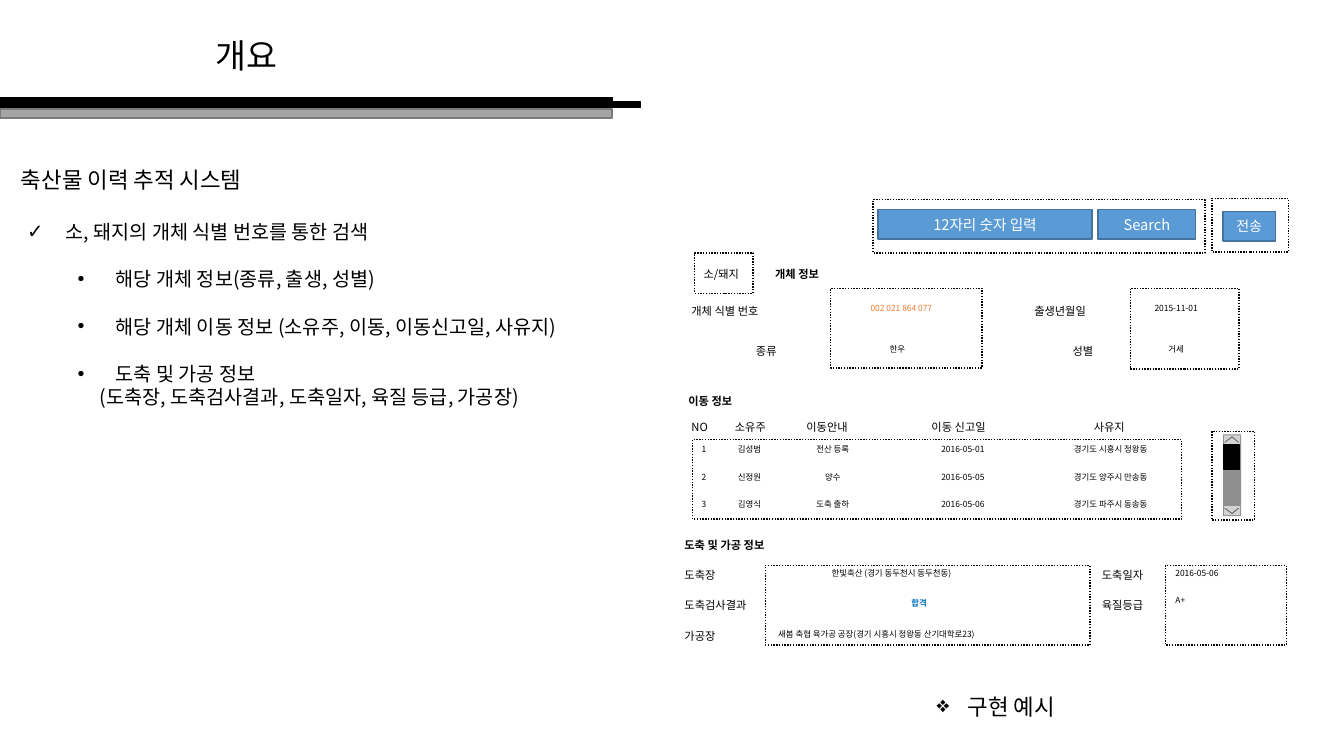
from dataclasses import dataclass
from lxml.etree import SubElement
from pptx import Presentation
from pptx.dml.color import RGBColor
from pptx.enum.dml import MSO_LINE
from pptx.enum.shapes import MSO_SHAPE
from pptx.enum.text import MSO_ANCHOR, MSO_AUTO_SIZE, PP_ALIGN
from pptx.oxml.ns import qn
from pptx.util import Inches, Pt


@dataclass(frozen=True)
class Theme:
    font: str = "Noto Sans CJK KR"
    black: str = "000000"
    white: str = "FFFFFF"
    button: str = "5B9BD5"
    button_edge: str = "43739E"
    bar: str = "A5A5A5"
    bar_edge: str = "7A7A7A"
    track: str = "8F8F8F"
    number: str = "ED7D31"
    passed: str = "0070C0"
    title: float = 24
    heading: float = 16
    body: float = 14
    action: float = 10.5
    send: float = 10
    label: float = 8
    value: float = 6


@dataclass(frozen=True)
class Box:
    left: float
    top: float
    width: float
    height: float

    def inner(self, dx, dy, width, height):
        return Box(self.left + dx, self.top + dy, width, height)

    def lengths(self):
        return [Inches(v) for v in (self.left, self.top, self.width, self.height)]


THEME = Theme()


def style(paragraph, size, color=THEME.black, bold=False, align=PP_ALIGN.LEFT):
    paragraph.alignment = align
    font = paragraph.font
    font.name, font.size, font.bold = THEME.font, Pt(size), bold
    font.color.rgb = RGBColor.from_string(color)


def indent(paragraph, margin, hanging=0, bullet=None):
    props = paragraph._p.get_or_add_pPr()
    props.set("marL", str(Inches(margin)))
    props.set("indent", str(-Inches(hanging)))
    mark = SubElement(props, qn("a:buChar" if bullet else "a:buNone"))
    if bullet:
        mark.set("char", bullet)
    defaults = props.find(qn("a:defRPr"))
    if defaults is not None:
        props.append(defaults)


def write(slide, box, text, size, **look):
    frame = slide.shapes.add_textbox(*box.lengths()).text_frame
    frame.word_wrap = True
    frame.auto_size = MSO_AUTO_SIZE.SHAPE_TO_FIT_TEXT
    paragraph = frame.paragraphs[0]
    paragraph.text = text
    style(paragraph, size, **look)
    return paragraph


def paint(shape, fill=None, edge=None, alpha=None):
    shape.shadow.inherit = False
    if fill:
        shape.fill.solid()
        shape.fill.fore_color.rgb = RGBColor.from_string(fill)
    else:
        shape.fill.background()
    if alpha:
        color = shape._element.spPr.find(qn("a:solidFill"))[0]
        SubElement(color, qn("a:alpha")).set("val", str(alpha * 1000))
    if edge:
        shape.line.color.rgb = RGBColor.from_string(edge)
        shape.line.width = Pt(1)
    else:
        shape.line.fill.background()
    return shape


def rectangle(slide, box, *look):
    return paint(slide.shapes.add_shape(MSO_SHAPE.RECTANGLE, *box.lengths()), *look)


def dotted_frame(slide, box):
    rectangle(slide, box, None, THEME.black).line.dash_style = MSO_LINE.ROUND_DOT


def button(slide, box, text, size):
    frame = rectangle(slide, box, THEME.button, THEME.button_edge).text_frame
    frame.vertical_anchor = MSO_ANCHOR.MIDDLE
    frame.paragraphs[0].text = text
    style(frame.paragraphs[0], size, THEME.white, align=PP_ALIGN.CENTER)


def header(slide, box):
    rectangle(slide, box.inner(0, 0.97, 6.07, 0.09), THEME.black, THEME.black)
    rectangle(slide, box.inner(0.17, 1.01, 6.18, 0.06), THEME.black, THEME.black)
    rectangle(slide, box.inner(0, 1.08, 6.07, 0.09), THEME.bar, THEME.bar_edge)
    title = slide.shapes.title
    title.left, title.top, title.width, title.height = box.inner(2.04, 0.3, 3.42, 0.5).lengths()
    title.text_frame.vertical_anchor = MSO_ANCHOR.TOP
    title.text_frame.text = "개요"
    style(title.text_frame.paragraphs[0], THEME.title)


def overview(slide, box):
    write(slide, box.inner(0, 0, 6.49, 0.37), "축산물 이력 추적 시스템", THEME.heading)
    body = slide.placeholders[1]
    body.left, body.top, body.width, body.height = box.inner(0.06, 0.53, 5.9, 1.99).lengths()
    frame = body.text_frame
    frame.auto_size = MSO_AUTO_SIZE.NONE
    items = [
        ("소, 돼지의 개체 식별 번호를 통한 검색", 0, 0, 0.38, 0.38, "✓"),
        ("해당 개체 정보(종류, 출생, 성별)", 1, 17, 0.88, 0.38, "•"),
        ("해당 개체 이동 정보 (소유주, 이동, 이동신고일, 사유지)", 1, 17, 0.88, 0.38, "•"),
        ("도축 및 가공 정보", 1, 17, 0.88, 0.38, "•"),
        ("(도축장, 도축검사결과, 도축일자, 육질 등급, 가공장)", 1, 0, 0.72, 0, None),
    ]
    for index, (text, level, gap, margin, hanging, bullet) in enumerate(items):
        paragraph = frame.add_paragraph() if index else frame.paragraphs[0]
        paragraph.text, paragraph.level, paragraph.space_before = text, level, Pt(gap)
        style(paragraph, THEME.body)
        indent(paragraph, margin, hanging, bullet)


def search_bar(slide, box):
    dotted_frame(slide, box.inner(0, 0.01, 3.29, 0.53))
    dotted_frame(slide, box.inner(3.36, 0, 0.76, 0.53))
    button(slide, box.inner(0.05, 0.11, 2.12, 0.29), "12자리 숫자 입력", THEME.action)
    button(slide, box.inner(2.23, 0.11, 0.97, 0.29), "Search", THEME.action)
    button(slide, box.inner(3.47, 0.13, 0.52, 0.29), "전송", THEME.send)


def animal_info(slide, box):
    for frame in ((0.13, 0, 0.58, 0.4), (1.48, 0.35, 1.5, 0.79), (4.45, 0.35, 1.08, 0.8)):
        dotted_frame(slide, box.inner(*frame))
    write(slide, box.inner(0.12, 0.09, 0.64, 0.18), "소/돼지", THEME.label)
    write(slide, box.inner(0.83, 0.09, 0.94, 0.18), "개체 정보", THEME.label, bold=True)
    for text, dx, dy in (("개체 식별 번호", 0, 0.46), ("종류", 0.64, 0.86),
                         ("출생년월일", 3.4, 0.46), ("성별", 3.78, 0.86)):
        write(slide, box.inner(dx, dy, 1.16, 0.18), text, THEME.label)
    for text, dx, dy, width, color in (
            ("002 021 864 077", 1.08, 0.45, 2.2, THEME.number),
            ("한우", 1.77, 0.85, 0.74, THEME.black),
            ("2015-11-01", 4.26, 0.45, 1.29, THEME.black),
            ("거세", 4.26, 0.85, 1.29, THEME.black)):
        write(slide, box.inner(dx, dy, width, 0.16), text, THEME.value,
              color=color, align=PP_ALIGN.CENTER)


def movements(slide, box):
    write(slide, box.inner(0, 0, 2.03, 0.18), "이동 정보", THEME.label, bold=True)
    for text, dx in (("NO", 0.03), ("소유주", 0.46), ("이동안내", 1.17),
                     ("이동 신고일", 2.41), ("사유지", 4.02)):
        write(slide, box.inner(dx, 0.26, 1.02, 0.18), text, THEME.label)
    columns = [(0.13, 0.2, PP_ALIGN.LEFT), (0.49, 0.53, PP_ALIGN.LEFT),
               (1.16, 0.74, PP_ALIGN.CENTER), (2.39, 0.86, PP_ALIGN.CENTER),
               (3.59, 1.39, PP_ALIGN.CENTER)]
    rows = [
        ("1", "김성범", "전산 등록", "2016-05-01", "경기도 시흥시 정왕동"),
        ("2", "신정원", "양수", "2016-05-05", "경기도 양주시 만송동"),
        ("3", "김영식", "도축 출하", "2016-05-06", "경기도 파주시 동송동"),
    ]
    for row, values in enumerate(rows):
        for text, (dx, width, align) in zip(values, columns):
            write(slide, box.inner(dx, 0.5 + 0.27 * row, width, 0.16), text, THEME.value, align=align)
    dotted_frame(slide, box.inner(0.14, 0.5, 4.85, 0.79))


def scrollbar(slide, box):
    rectangle(slide, box.inner(0.11, 0.03, 0.18, 0.81), THEME.track)
    for dy, tip, base, notch in ((0.04, 0.05, 0.11, 0.01), (0.74, 0.82, 0.76, -0.01)):
        rectangle(slide, box.inner(0.12, dy, 0.16, 0.09), THEME.white, None, 60)
        points = [(0.12, base), (0.2, tip), (0.27, base), (0.26, base),
                  (0.2, tip + notch), (0.13, base)]
        corners = [(Inches(box.left + x), Inches(box.top + y)) for x, y in points]
        chevron = slide.shapes.build_freeform(*corners[0])
        chevron.add_line_segments(corners[1:])
        paint(chevron.convert_to_shape(), THEME.black, None, 60)
    rectangle(slide, box.inner(0.12, 0.13, 0.15, 0.25), THEME.black, THEME.black)
    dotted_frame(slide, box)


def slaughter_info(slide, box):
    write(slide, box.inner(0, 0, 2.03, 0.18), "도축 및 가공 정보", THEME.label, bold=True)
    for dx, labels in ((0, ("도축장", "도축검사결과", "가공장")), (4.14, ("도축일자", "육질등급"))):
        for row, text in enumerate(labels):
            write(slide, box.inner(dx, 0.3 * (row + 1), 1.19, 0.18), text, THEME.label)
    for text, dx, dy, width in (
            ("한빛축산 (경기 동두천시 동두천동)", 1.46, 0.3, 2.36),
            ("새봄 축협 육가공 공장(경기 시흥시 정왕동 산기대학로23)", 0.93, 0.9, 3.14),
            ("2016-05-06", 4.87, 0.3, 0.9), ("A+", 4.87, 0.56, 0.9)):
        write(slide, box.inner(dx, dy, width, 0.16), text, THEME.value)
    write(slide, box.inner(2.25, 0.59, 0.42, 0.16), "합격", THEME.value, color=THEME.passed, bold=True)
    dotted_frame(slide, box.inner(0.9, 0.32, 3.22, 0.79))
    dotted_frame(slide, box.inner(4.87, 0.32, 1.2, 0.79))


def caption(slide, box):
    indent(write(slide, box, "구현 예시", THEME.heading), 0.31, 0.31, "❖")


def main():
    deck = Presentation()
    deck.slide_width, deck.slide_height = Inches(13.33), Inches(7.5)
    slide = deck.slides.add_slide(deck.slide_layouts[1])
    header(slide, Box(0, 0, 6.35, 1.17))
    overview(slide, Box(0.11, 1.6, 6.49, 2.52))
    search_bar(slide, Box(8.66, 1.97, 4.12, 0.54))
    animal_info(slide, Box(6.76, 2.51, 5.55, 1.15))
    movements(slide, Box(6.73, 3.86, 4.99, 1.29))
    scrollbar(slide, Box(12.02, 4.28, 0.42, 0.88))
    slaughter_info(slide, Box(6.69, 5.29, 6.07, 1.11))
    caption(slide, Box(9.19, 6.83, 1.61, 0.37))
    deck.save("out.pptx")


if __name__ == "__main__":
    main()
